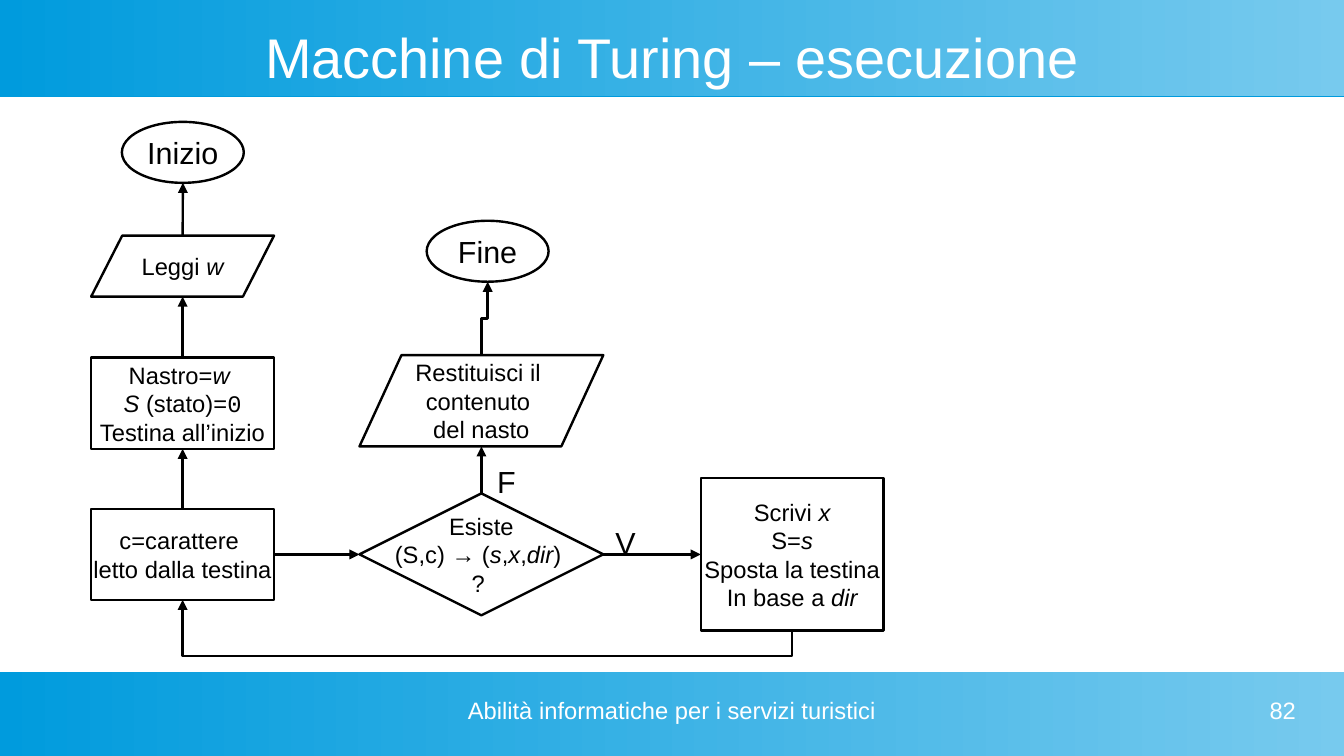
from dataclasses import dataclass

from lxml.etree import SubElement
from pptx import Presentation
from pptx.dml.color import RGBColor
from pptx.enum.shapes import MSO_CONNECTOR as Link, MSO_SHAPE as Form
from pptx.enum.text import MSO_ANCHOR as Anchor, PP_ALIGN as Align
from pptx.oxml.ns import qn
from pptx.util import Cm, Pt


@dataclass(frozen=True)
class Theme:
    deep: RGBColor = RGBColor.from_string("009BDD")
    pale: RGBColor = RGBColor.from_string("77CAEE")
    ink: RGBColor = RGBColor.from_string("000000")
    white: RGBColor = RGBColor.from_string("FFFFFF")
    font: str = "Arial"
    code_font: str = "Courier New"
    title: Pt = Pt(33)
    large: Pt = Pt(18)
    small: Pt = Pt(14)
    line: Pt = Pt(1.42)


THEME = Theme()


@dataclass(frozen=True)
class Span:
    text: str
    italic: bool = False
    font: str = THEME.font


def it(text):
    """Italic span, used for the variables of the machine."""
    return Span(text, italic=True)


def write(frame, lines, size, color, align):
    """Fill a text frame; each line is a list of strings and spans."""
    for index, line in enumerate(lines):
        para = frame.paragraphs[0] if index == 0 else frame.add_paragraph()
        para.alignment = align
        for part in line:
            span = part if isinstance(part, Span) else Span(part)
            run = para.add_run()
            run.text = span.text
            run.font.name = span.font
            run.font.size = size
            run.font.italic = span.italic
            run.font.color.rgb = color


def add_band(page, top, width, height):
    """Horizontal gradient band with a thin sharp shadow below."""
    band = page.shapes.add_shape(Form.RECTANGLE, 0, top, width, height)
    band.line.fill.background()
    band.fill.gradient()
    band.fill.gradient_angle = 0
    for stop, color in zip(band.fill.gradient_stops, (THEME.deep, THEME.pale)):
        stop.color.rgb = color
    band.shadow.inherit = False
    effects = band._element.spPr.find(qn("a:effectLst"))
    shadow = SubElement(effects, qn("a:outerShdw"), dist=str(Pt(0.9)), dir="5400000")
    SubElement(shadow, qn("a:srgbClr"), val=str(THEME.deep))


def add_caption(page, left, top, width, height, text, size, align, anchor=Anchor.TOP):
    """White text without margins, placed on a band."""
    box = page.shapes.add_textbox(Cm(left), Cm(top), Cm(width), Cm(height))
    frame = box.text_frame
    frame.word_wrap = True
    frame.vertical_anchor = anchor
    frame.margin_left = frame.margin_top = frame.margin_right = frame.margin_bottom = 0
    write(frame, [[text]], size, THEME.white, align)


def add_branch_label(page, left, top, text):
    box = page.shapes.add_textbox(Cm(left), Cm(top), Cm(0.91), Cm(0.97))
    box.text_frame.word_wrap = False
    write(box.text_frame, [[text]], THEME.large, THEME.ink, Align.LEFT)


def add_node(page, form, left, top, width, height, lines, size=THEME.small, slant=None):
    node = page.shapes.add_shape(form, Cm(left), Cm(top), Cm(width), Cm(height))
    node.shadow.inherit = False
    node.fill.background()
    node.line.color.rgb = THEME.ink
    node.line.width = THEME.line
    if slant:
        node.adjustments[0] = slant
    node.text_frame.word_wrap = False
    node.text_frame.vertical_anchor = Anchor.MIDDLE
    write(node.text_frame, lines, size, THEME.ink, Align.CENTER)
    return node


def top_of(node):
    return node.left + node.width // 2, node.top


def bottom_of(node):
    return node.left + node.width // 2, node.top + node.height


def left_of(node):
    return node.left, node.top + node.height // 2


def right_of(node):
    return node.left + node.width, node.top + node.height // 2


def add_arrow(page, start, end, kind=Link.STRAIGHT):
    arrow = page.shapes.add_connector(kind, *start, *end)
    arrow.line.color.rgb = THEME.ink
    arrow.line.width = THEME.line
    SubElement(arrow.line._get_or_add_ln(), qn("a:tailEnd"), type="triangle")
    SubElement(arrow._element.spPr, qn("a:effectLst"))
    return arrow


def add_rising_elbow(page, start, end, bend):
    """Elbow that leaves and arrives vertically: a sideways elbow turned by 270 degrees."""
    run, rise = end[0] - start[0], start[1] - end[1]
    middle_x, middle_y = (start[0] + end[0]) // 2, (start[1] + end[1]) // 2
    turned_start = middle_x - rise // 2, middle_y - run // 2
    turned_end = middle_x + rise // 2, middle_y + run // 2
    arrow = add_arrow(page, turned_start, turned_end, Link.ELBOW)
    properties = arrow._element.spPr
    properties.find(qn("a:xfrm")).set("rot", str(270 * 60000))
    guides = properties.find(qn("a:prstGeom")).find(qn("a:avLst"))
    SubElement(guides, qn("a:gd"), name="adj1", fmla=f"val {round(bend * 100000)}")


def add_flowchart(page):
    start = add_node(page, Form.OVAL, 2.54, 2.54, 2.54, 1.27, [["Inizio"]], THEME.large)
    read = add_node(page, Form.PARALLELOGRAM, 1.9, 4.91, 3.81, 1.27,
                    [["Leggi ", it("w")]], slant=0.51)
    setup = add_node(page, Form.RECTANGLE, 1.9, 7.45, 3.81, 1.9, [
        ["Nastro=", it("w ")],
        [it("S "), "(stato)=", Span("0", font=THEME.code_font)],
        ["Testina all’inizio"]])
    scan = add_node(page, Form.RECTANGLE, 1.9, 10.6, 3.81, 1.9,
                    [["c=carattere "], ["letto dalla testina"]])
    test = add_node(page, Form.DIAMOND, 7.49, 10.28, 5.08, 2.54, [
        ["Esiste"],
        ["(S,c) → (", it("s"), ",", it("x"), ",", it("dir"), ") "],
        ["? "]])
    step = add_node(page, Form.RECTANGLE, 14.6, 9.96, 3.81, 3.18, [
        ["Scrivi ", it("x")],
        ["S=", it("s")],
        ["Sposta la testina"],
        ["In base a ", it("dir")]])
    result = add_node(page, Form.PARALLELOGRAM, 7.49, 7.4, 5.08, 1.9,
                      [["Restituisci il "], ["contenuto "], ["del nasto"]], slant=0.46)
    finish = add_node(page, Form.OVAL, 8.89, 4.6, 2.54, 1.27, [["Fine"]], THEME.large)

    for lower, upper in ((read, start), (setup, read), (scan, setup), (test, result)):
        add_arrow(page, top_of(lower), bottom_of(upper))
    for source, target in ((scan, test), (test, step)):
        add_arrow(page, right_of(source), left_of(target))
    add_rising_elbow(page, top_of(result), bottom_of(finish), 0.5)
    add_rising_elbow(page, bottom_of(step), bottom_of(scan), -0.83)

    add_branch_label(page, 12.57, 10.8, "V")
    add_branch_label(page, 10.11, 9.53, "F")


def main():
    deck = Presentation()
    deck.slide_width, deck.slide_height = Cm(28), Cm(15.75)
    page = deck.slides.add_slide(deck.slide_layouts[6])
    add_band(page, 0, deck.slide_width, Cm(2))
    add_band(page, Cm(14), deck.slide_width, Cm(1.75))
    add_caption(page, 1, 0.51, 26, 1.32, "Macchine di Turing – esecuzione",
                THEME.title, Align.CENTER, Anchor.MIDDLE)
    add_flowchart(page)
    add_caption(page, 9.5, 14.5, 9, 1, "Abilità informatiche per i servizi turistici",
                THEME.small, Align.CENTER)
    add_caption(page, 20.5, 14.5, 6.5, 1, "82", THEME.small, Align.RIGHT)
    deck.save("out.pptx")


if __name__ == "__main__":
    main()
